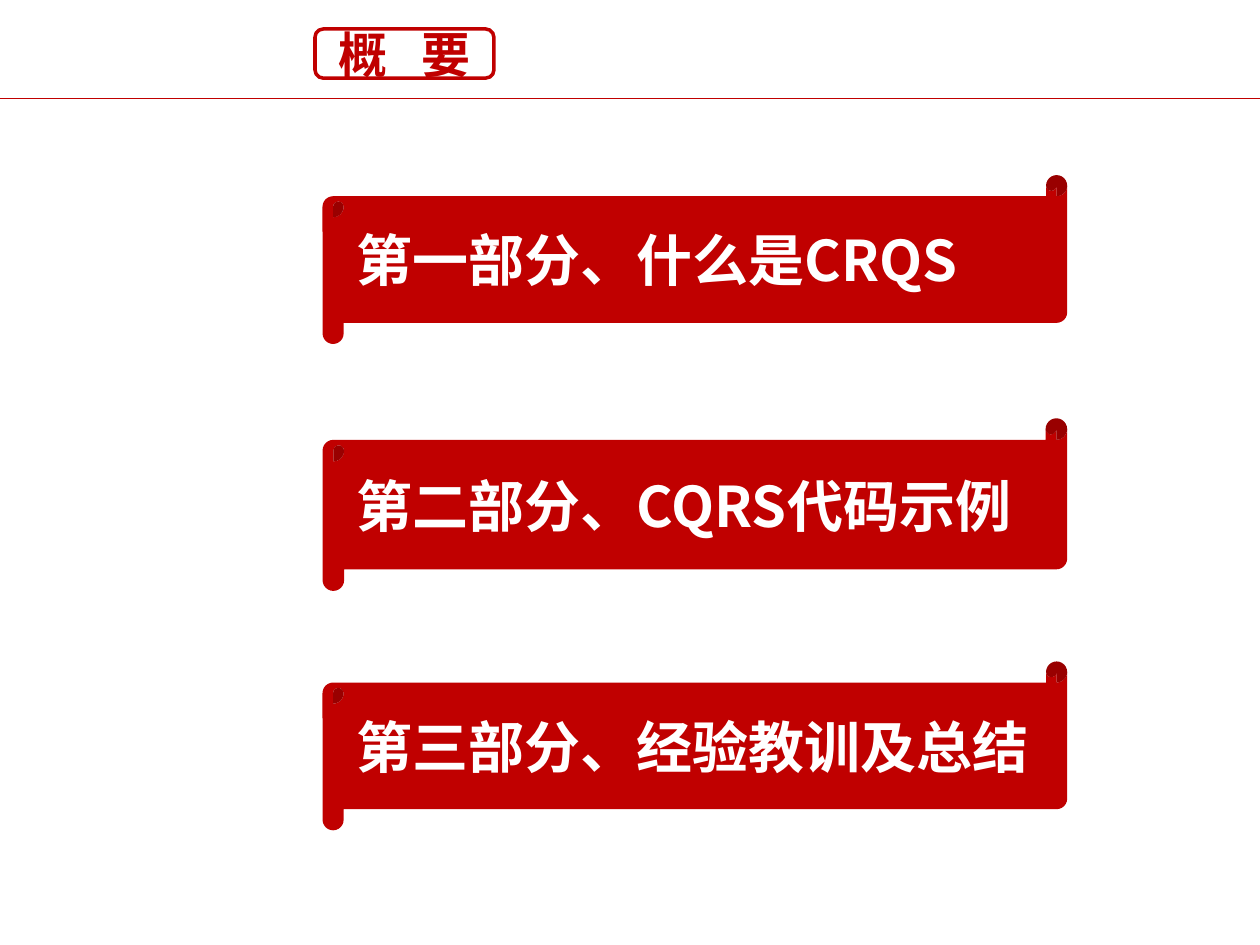
from dataclasses import dataclass

from lxml import etree
from pptx import Presentation
from pptx.dml.color import RGBColor
from pptx.enum.shapes import MSO_CONNECTOR, MSO_SHAPE
from pptx.enum.text import MSO_ANCHOR, PP_ALIGN
from pptx.oxml.ns import qn
from pptx.util import Inches, Pt

SCROLL = MSO_SHAPE.HORIZONTAL_SCROLL
BADGE = MSO_SHAPE.FLOWCHART_ALTERNATE_PROCESS
STRAIGHT = MSO_CONNECTOR.STRAIGHT
MIDDLE = MSO_ANCHOR.MIDDLE
LEFT, CENTER = PP_ALIGN.LEFT, PP_ALIGN.CENTER


@dataclass(frozen=True)
class Theme:
    red: RGBColor = RGBColor(0xC0, 0x00, 0x00)
    white: RGBColor = RGBColor(0xFF, 0xFF, 0xFF)
    font: str = "Noto Sans CJK SC"
    title_size: int = 28
    title_tracking: float = 6.5
    section_size: int = 32


THEME = Theme()
SECTIONS = [
    ("第一部分、什么是CRQS", 1.34),
    ("第二部分、CQRS代码示例", 1.37),
    ("第三部分、经验教训及总结", 1.34),
]
FIRST_TOP = 1.39
SECTION_PITCH = 1.93


def add_box(page, kind, left, top, width, height, fill):
    box = page.shapes.add_shape(
        kind, Inches(left), Inches(top), Inches(width), Inches(height)
    )
    box.shadow.inherit = False
    box.fill.solid()
    box.fill.fore_color.rgb = fill
    box.line.fill.background()
    box.text_frame.word_wrap = True
    box.text_frame.vertical_anchor = MIDDLE
    return box


def style_paragraph(para, size, color, alignment):
    para.alignment = alignment
    para.font.name = THEME.font
    para.font.size = Pt(size)
    para.font.bold = True
    para.font.color.rgb = color
    defaults = para._p.get_or_add_pPr().find(qn("a:defRPr"))
    east_asian = etree.SubElement(defaults, qn("a:ea"))
    east_asian.set("typeface", THEME.font)


def add_rule(page, top, width):
    rule = page.shapes.add_connector(
        STRAIGHT, Inches(0), Inches(top), Inches(width), Inches(top)
    )
    rule.line.color.rgb = THEME.red
    rule.line.width = Pt(0.75)
    etree.SubElement(rule._element.spPr, qn("a:effectLst"))


def add_section(page, text, top, height):
    box = add_box(page, SCROLL, 2.56, top, 5.91, height, THEME.red)
    para = box.text_frame.paragraphs[0]
    para.add_run().text = text
    style_paragraph(para, THEME.section_size, THEME.white, LEFT)


def add_title(page, first, last):
    box = add_box(page, BADGE, 2.5, 0.23, 1.42, 0.39, THEME.white)
    box.line.color.rgb = THEME.red
    box.line.width = Pt(2)
    para = box.text_frame.paragraphs[0]
    spaced = para.add_run()
    spaced.text = f"{first} "
    spaced._r.get_or_add_rPr().set("spc", str(int(THEME.title_tracking * 100)))
    para.add_run().text = last
    style_paragraph(para, THEME.title_size, THEME.red, CENTER)


def main():
    deck = Presentation()
    deck.slide_width = Inches(10)
    deck.slide_height = Inches(7.5)
    page = deck.slides.add_slide(deck.slide_layouts[6])
    add_rule(page, 0.78, 10)
    for index, (text, height) in enumerate(SECTIONS):
        add_section(page, text, FIRST_TOP + index * SECTION_PITCH, height)
    add_title(page, "概", "要")
    deck.save("out.pptx")


if __name__ == "__main__":
    main()
